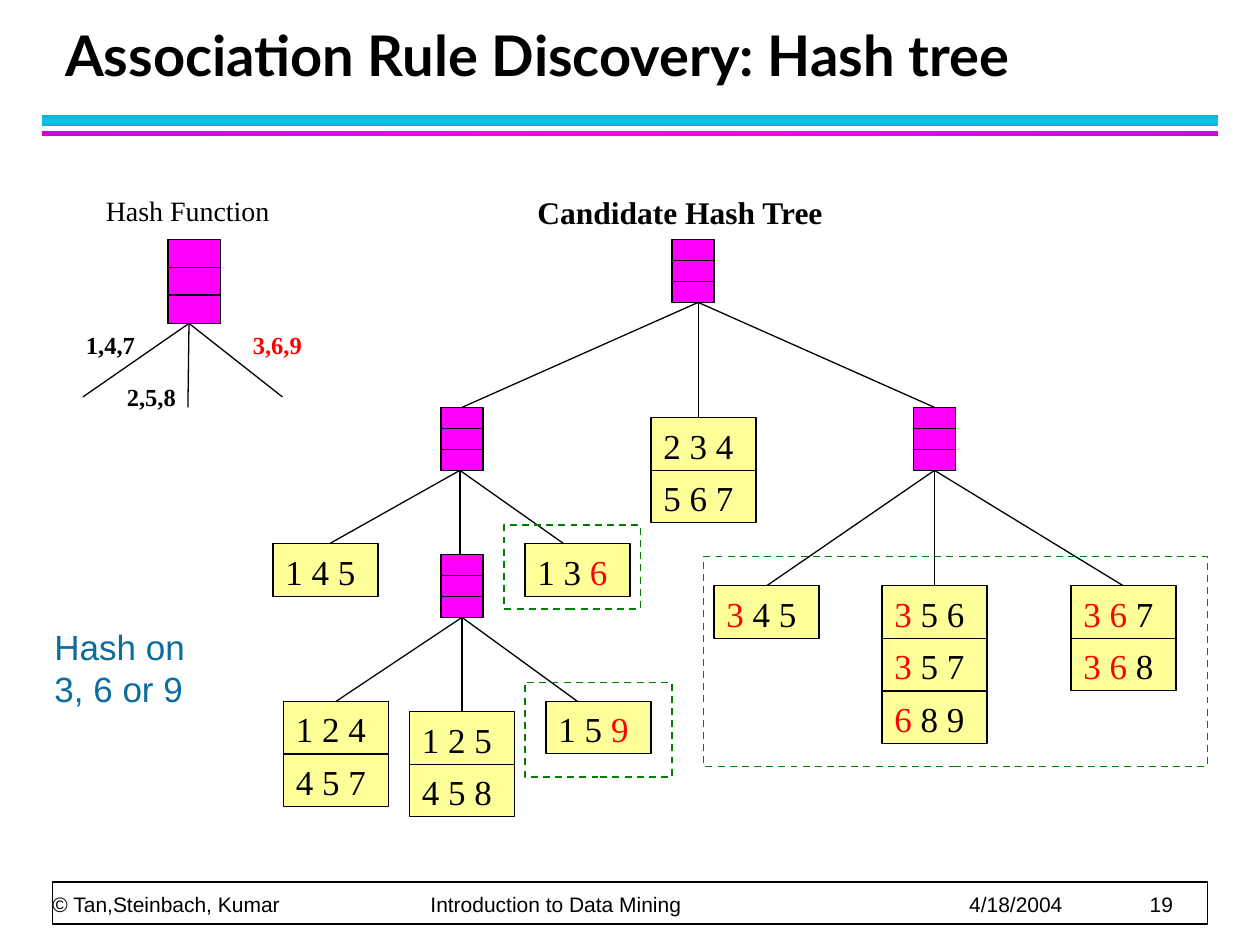
from copy import deepcopy
from dataclasses import dataclass

from lxml.etree import SubElement
from pptx import Presentation
from pptx.dml.color import RGBColor
from pptx.enum.dml import MSO_LINE
from pptx.enum.shapes import MSO_CONNECTOR, MSO_SHAPE
from pptx.enum.text import MSO_ANCHOR, MSO_AUTO_SIZE, PP_ALIGN
from pptx.oxml.ns import qn
from pptx.util import Pt

PX = 914400 // 120


@dataclass(frozen=True)
class Theme:
    black: str = "000000"
    white: str = "FFFFFF"
    red: str = "FF0000"
    node: str = "FF00FF"
    leaf: str = "FFFF99"
    highlight: str = "008000"
    note: str = "0C6D9C"
    cyan_bar: tuple = ("10B0D3", "12C2E9", "10B0D3")
    magenta_bar: tuple = ("DA00DA", "FF00FF", "DA00DA")
    title_font: str = "Lato"
    sans: str = "Arial"
    serif: str = "Times New Roman"
    title_size: int = 32
    leaf_size: int = 20
    heading_size: int = 18
    caption_size: int = 16
    branch_size: int = 14
    footer_size: int = 12
    thin: float = 0.75


theme = Theme()


def add_rectangle(left, top, width, height, fill=None, line=None, weight=1):
    shape = slide.shapes.add_shape(
        MSO_SHAPE.RECTANGLE, left * PX, top * PX, width * PX, height * PX
    )
    shape.shadow.inherit = False
    if fill:
        shape.fill.solid()
        shape.fill.fore_color.rgb = RGBColor.from_string(fill)
    else:
        shape.fill.background()
    if line:
        shape.line.color.rgb = RGBColor.from_string(line)
        shape.line.width = Pt(weight)
    else:
        shape.line.fill.background()
    return shape


def write_text(shape, text, font, size, color=theme.black, bold=False, wrap=True):
    shape.text_frame.word_wrap = wrap
    paragraph = shape.text_frame.paragraphs[0]
    paragraph.alignment = PP_ALIGN.LEFT
    for index, part in enumerate(text.split("|")):
        if part:
            run = paragraph.add_run()
            run.text = part
            run.font.name = font
            run.font.size = Pt(size)
            run.font.bold = bold
            run.font.color.rgb = RGBColor.from_string(theme.red if index % 2 else color)
    return paragraph


presentation = Presentation()
presentation.slide_width = 1200 * PX
presentation.slide_height = 900 * PX
slide = presentation.slides.add_slide(presentation.slide_layouts[5])

for top, height, colors, angle in (
    (110, 10, theme.cyan_bar, 90),
    (125, 5, theme.magenta_bar, 0),
):
    bar = add_rectangle(40, top, 1120, height)
    bar.fill.gradient()
    bar.fill.gradient_angle = angle
    first_stop = bar._element.spPr.find(".//" + qn("a:gs"))
    middle_stop = deepcopy(first_stop)
    middle_stop.set("pos", "50000")
    first_stop.addnext(middle_stop)
    for stop, color in zip(bar.fill.gradient_stops, colors):
        stop.color.rgb = RGBColor.from_string(color)

add_rectangle(50, 840, 1100, 40, theme.white, theme.black)
footer = slide.shapes.add_textbox(50 * PX, 840 * PX, 1098 * PX, 33 * PX)
frame = footer.text_frame
frame.margin_left = frame.margin_top = frame.margin_right = frame.margin_bottom = 0
frame.vertical_anchor = MSO_ANCHOR.BOTTOM
paragraph = write_text(
    footer,
    "© Tan,Steinbach, Kumar\tIntroduction to Data Mining\t4/18/2004\t19",
    theme.sans,
    theme.footer_size,
)
paragraph.line_spacing = Pt(20)
tab_list = SubElement(paragraph._p.get_or_add_pPr(), qn("a:tabLst"))
for position in (360, 873, 1045):
    SubElement(tab_list, qn("a:tab"), pos=str(position * PX), algn="l")

title = slide.shapes.title
title.left, title.top, title.width, title.height = 50 * PX, 20 * PX, 1087 * PX, 70 * PX
title.text_frame.auto_size = MSO_AUTO_SIZE.NONE
title.text_frame.vertical_anchor = MSO_ANCHOR.BOTTOM
paragraph = write_text(
    title,
    "Association Rule Discovery: Hash tree",
    theme.title_font,
    theme.title_size,
    bold=True,
)
paragraph.line_spacing = Pt(36)

branches = (
    ((665, 288), ((440, 388), (665, 398), (890, 388))),
    ((438, 448), ((310, 520), (438, 528), (540, 520))),
    ((890, 448), ((730, 558), (890, 558), (1070, 558))),
    ((440, 588), ((320, 668), (440, 678), (550, 668))),
    ((180, 308), ((79, 378), (179, 388), (269, 378))),
)
lines = [(*start, *end) for start, ends in branches for end in ends]

for left, top, width, height in (
    (420, 388, 40, 60),
    (870, 388, 40, 60),
    (420, 528, 40, 60),
    (640, 228, 40, 60),
    (160, 228, 50, 80),
):
    add_rectangle(left, top, width, height, theme.node, theme.black, theme.thin)
    for step in (1, 2):
        divider = top + round(height * step / 3)
        lines.append((left, divider, left + width, divider))

for line in lines:
    connector = slide.shapes.add_connector(
        MSO_CONNECTOR.STRAIGHT, *(value * PX for value in line)
    )
    connector.line.color.rgb = RGBColor.from_string(theme.black)
    connector.line.width = Pt(theme.thin)
    SubElement(connector._element.spPr, qn("a:effectLst"))

for left, top, itemsets in (
    (520, 668, ("1 5 |9",)),
    (260, 518, ("1 4 5",)),
    (500, 518, ("1 3 |6",)),
    (680, 558, ("|3| 4 5",)),
    (1020, 558, ("|3 6| 7", "|3 6| 8")),
    (840, 558, ("|3| 5 6", "|3| 5 7", "|6| 8 9")),
    (620, 398, ("2 3 4", "5 6 7")),
    (270, 668, ("1 2 4", "4 5 7")),
    (390, 678, ("1 2 5", "4 5 8")),
):
    for row, itemset in enumerate(itemsets):
        leaf = add_rectangle(
            left, top + 50 * row, 100, 50, theme.leaf, theme.black, theme.thin
        )
        leaf.text_frame.vertical_anchor = MSO_ANCHOR.TOP
        write_text(leaf, itemset, theme.serif, theme.leaf_size)

for left, top, width, height, text, size, bold in (
    (70, 308, 71, 40, "1,4,7", theme.branch_size, True),
    (109, 358, 71, 40, "2,5,8", theme.branch_size, True),
    (229, 308, 71, 40, "|3,6,9|", theme.branch_size, True),
    (89, 178, 181, 44, "Hash Function", theme.caption_size, False),
    (500, 178, 299, 48, "Candidate Hash Tree", theme.heading_size, True),
):
    label = slide.shapes.add_textbox(left * PX, top * PX, width * PX, height * PX)
    write_text(label, text, theme.serif, size, bold=bold, wrap=False)

note = slide.shapes.add_textbox(40 * PX, 590 * PX, 150 * PX, 92 * PX)
write_text(note, "Hash on 3, 6 or 9", theme.sans, theme.leaf_size, theme.note)

for left, top, width, height in (
    (500, 650, 140, 90),
    (670, 530, 480, 200),
    (480, 500, 130, 80),
):
    highlight = add_rectangle(left, top, width, height, line=theme.highlight)
    highlight.line.dash_style = MSO_LINE.DASH

presentation.save("out.pptx")
